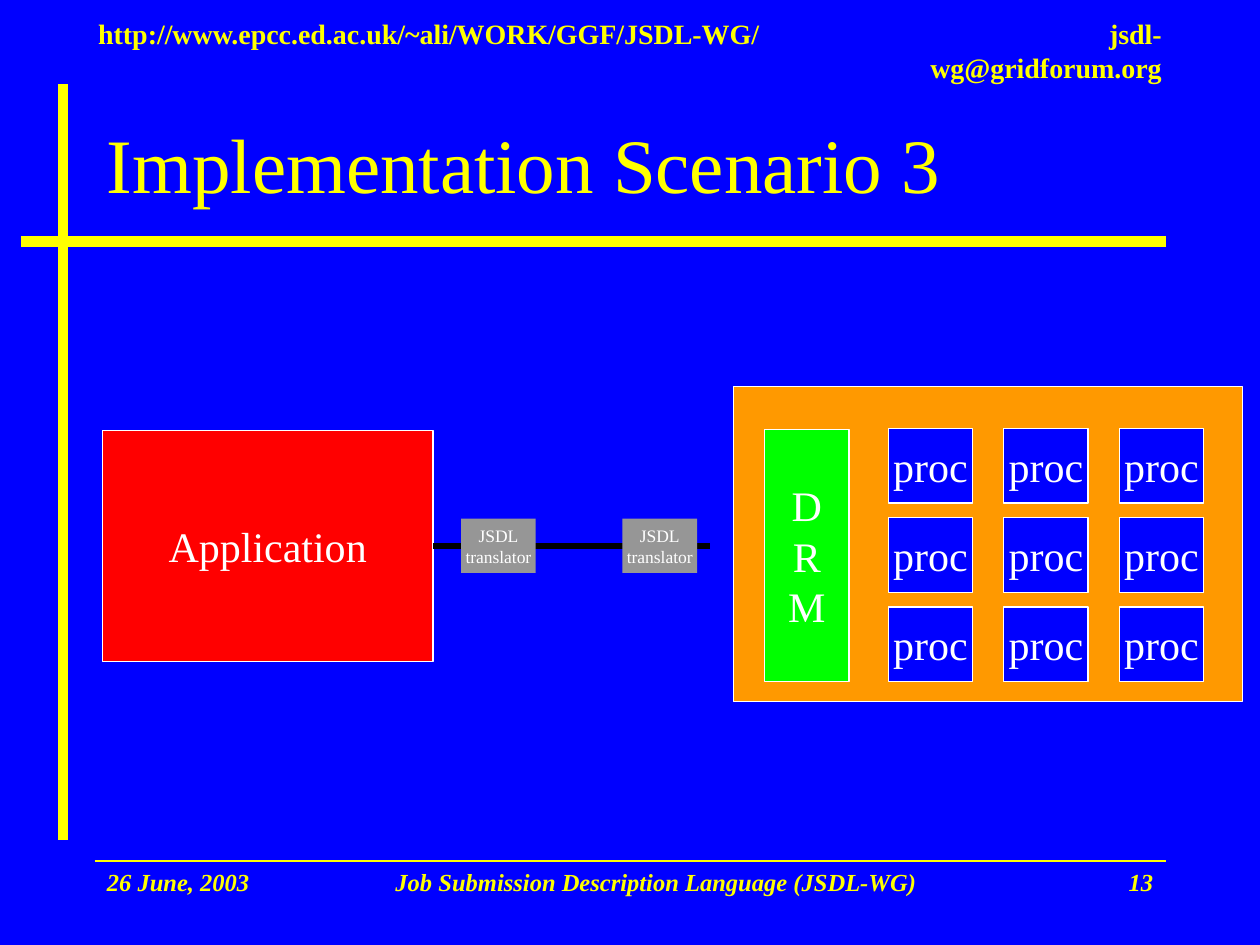
from lxml import etree
from pptx import Presentation
from pptx.dml.color import RGBColor
from pptx.enum import shapes, text
from pptx.oxml.ns import qn
from pptx.util import Pt

COLORS = {
    "background": "0000FF", "accent": "FFFF00", "white": "FFFFFF",
    "application": "FF0000", "cluster": "FF9900", "manager": "00FF00",
    "translator": "969696", "link": "000000",
}
LEFT, CENTER, RIGHT = text.PP_ALIGN.LEFT, text.PP_ALIGN.CENTER, text.PP_ALIGN.RIGHT
TOP, MIDDLE = text.MSO_ANCHOR.TOP, text.MSO_ANCHOR.MIDDLE


def rgb(name):
    return RGBColor.from_string(COLORS[name])


class SlideBuilder:
    font_name = "Times New Roman"

    def __init__(self, slide):
        self.slide = slide
        slide.background.fill.solid()
        slide.background.fill.fore_color.rgb = rgb("background")

    def set_text(self, frame, lines, size, color, align, anchor=TOP, wrap=True,
                 bold=False, italic=False):
        frame.word_wrap = wrap
        frame.vertical_anchor = anchor
        frame.text = lines
        for paragraph in frame.paragraphs:
            paragraph.alignment = align
            font = paragraph.font
            font.name, font.size = self.font_name, Pt(size)
            font.bold, font.italic = bold, italic
            font.color.rgb = rgb(color)

    def label(self, box, words, size, align=LEFT, **style):
        frame = self.slide.shapes.add_textbox(*map(Pt, box)).text_frame
        self.set_text(frame, words, size, "accent", align, **style)

    def block(self, box, fill, words="", size=24, outlined=True, anchor=MIDDLE):
        rect = self.slide.shapes.add_shape(
            shapes.MSO_SHAPE.RECTANGLE, *map(Pt, box))
        rect.shadow.inherit = False
        rect.fill.solid()
        rect.fill.fore_color.rgb = rgb(fill)
        if outlined:
            rect.line.color.rgb = rgb("white")
            rect.line.width = Pt(0.75)
        else:
            rect.line.fill.background()
        if words:
            self.set_text(rect.text_frame, words, size, "white", CENTER, anchor, wrap=False)
        return rect

    def line(self, start, end, color, width):
        connector = self.slide.shapes.add_connector(
            shapes.MSO_CONNECTOR.STRAIGHT, *map(Pt, start + end))
        connector.line.color.rgb = rgb(color)
        connector.line.width = Pt(width)
        etree.SubElement(connector._element.spPr, qn("a:effectLst"))
        return connector


def main():
    deck = Presentation()
    deck.slide_width, deck.slide_height = Pt(720), Pt(540)
    page = SlideBuilder(deck.slides.add_slide(deck.slide_layouts[6]))

    # Frame rules, header and title
    page.line((36, 480), (36, 48), "accent", 6)
    page.line((12, 138), (666, 138), "accent", 6)
    page.line((54, 492), (666, 492), "accent", 1)
    page.label((49, 6, 393, 26.6), "http://www.epcc.ed.ac.uk/~ali/WORK/GGF/JSDL-WG/",
               16, wrap=False, bold=True)
    page.label((494.6, 6, 176.4, 26.6), "jsdl-wg@gridforum.org",
               16, RIGHT, wrap=False, bold=True)
    page.label((54, 48, 612, 90), "Implementation Scenario 3", 44, anchor=MIDDLE)

    # Application and the cluster it submits to
    application = page.block((58.5, 246, 189, 132), "application", "Application")
    page.block((419, 221, 291, 180), "cluster")
    page.block((437, 245.3, 48.2, 144), "manager", "D\nR\nM")
    for row in range(3):
        for column in range(3):
            page.block((507.6 + 66 * column, 245 + 50.9 * row, 48.2, 42.5),
                       "background", "proc")

    # Link through the two translators
    link = page.line((247.5, 312), (406, 312), "link", 3)
    link.begin_connect(application, 3)
    for left in (263.5, 355.7):
        page.block((left, 296.4, 42.7, 31), "translator", "JSDL\ntranslator",
                   10, outlined=False, anchor=TOP)

    footer = [
        (54, 150, "26 June, 2003", LEFT),
        (210, 330, "Job Submission Description Language (JSDL-WG)", CENTER),
        (546, 120, "13", RIGHT),
    ]
    for left, width, words, align in footer:
        page.label((left, 492, width, 36), words, 14, align, bold=True, italic=True)

    deck.save("out.pptx")


if __name__ == "__main__":
    main()
